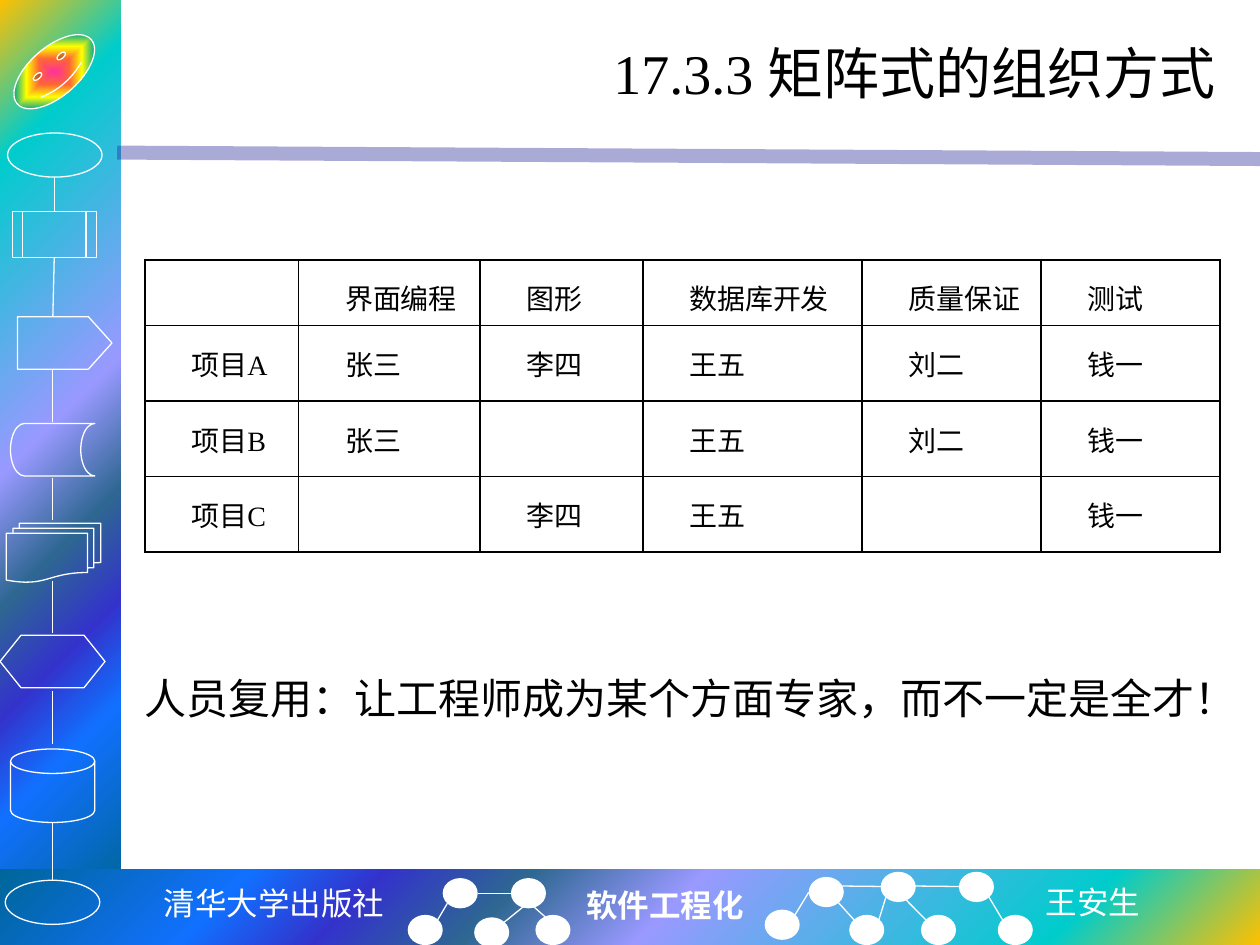
from lxml import etree
from pptx import Presentation
from pptx.dml.color import RGBColor
from pptx.enum.shapes import MSO_CONNECTOR, MSO_SHAPE
from pptx.enum.text import MSO_ANCHOR, MSO_AUTO_SIZE, PP_ALIGN
from pptx.oxml.ns import qn
from pptx.util import Pt

STRAIGHT = MSO_CONNECTOR.STRAIGHT
RECTANGLE, OVAL = MSO_SHAPE.RECTANGLE, MSO_SHAPE.OVAL
LEFT, CENTER, RIGHT, JUSTIFY = PP_ALIGN.LEFT, PP_ALIGN.CENTER, PP_ALIGN.RIGHT, PP_ALIGN.JUSTIFY
TOP, MIDDLE = MSO_ANCHOR.TOP, MSO_ANCHOR.MIDDLE
GROW = MSO_AUTO_SIZE.SHAPE_TO_FIT_TEXT

WHITE = RGBColor(0xFF, 0xFF, 0xFF)
BLACK = RGBColor(0, 0, 0)
RULE = RGBColor(0x26, 0x26, 0x99)
SPECTRUM = [(0, RGBColor(0xFF, 0xC0, 0x00)), (16, RGBColor(0x00, 0xCC, 0xCC)),
            (47, RGBColor(0x99, 0x99, 0xFF)), (60, RGBColor(0x2E, 0x67, 0x92)),
            (71, RGBColor(0x33, 0x33, 0xCC)), (81, RGBColor(0x11, 0x70, 0xFF)),
            (100, RGBColor(0x00, 0x66, 0x99))]
RAINBOW = [(0, RGBColor(0xFF, 0x33, 0x99)), (25, RGBColor(0xFF, 0x66, 0x33)),
           (50, RGBColor(0xFF, 0xFF, 0x00)), (75, RGBColor(0x01, 0xA7, 0x8F)),
           (100, RGBColor(0x33, 0x66, 0xFF))]
SERIF, MONO, SANS = "Times New Roman", "Courier New", "Noto Sans CJK SC"

# Flowchart symbols: preset, left, top, width, height
SYMBOLS = [
    (OVAL, 4.3, 76, 54, 25.2),
    (MSO_SHAPE.FLOWCHART_PREDEFINED_PROCESS, 7, 121, 48.2, 26),
    (MSO_SHAPE.PENTAGON, 10, 181, 54, 30),
    (MSO_SHAPE.FLOWCHART_STORED_DATA, 6, 242, 48.2, 30),
    (MSO_SHAPE.FLOWCHART_MULTIDOCUMENT, 3.6, 299, 54, 33.8),
    (MSO_SHAPE.FLOWCHART_PREPARATION, 0, 363, 60, 30),
    (MSO_SHAPE.FLOWCHART_MAGNETIC_DISK, 6, 428, 48.2, 42),
    (OVAL, 3, 503, 54, 25.2),
]
FLOW_LINES = [(31, 101, 31, 121), (31, 147.5, 30.2, 181), (30, 211, 30, 241),
              (30, 273, 30, 297), (30, 332, 30, 362), (30, 395, 30, 425),
              (30, 470, 30, 503)]

# Footer nodes (left, top) and links (x1, y1, x2, y2), relative to the footer
NODE_SIZE = (20, 17.3)
NODES = [(233, 26), (253, 5), (271, 27.4), (292, 5), (306, 26),
         (437, 23), (462.2, 4.3), (485.3, 26), (503.3, 1.4), (526.3, 26),
         (548, 1.4), (570.2, 26)]
LINKS = [(250, 29, 255.6, 19.5), (288, 30.3, 299.5, 21), (292.3, 13.7, 273, 13.7),
         (312.5, 28, 305.3, 21.6), (454.3, 26, 462.2, 13), (488.2, 29, 478.8, 18.7),
         (481, 9.5, 506, 9.8), (502, 29.5, 506.2, 16), (529.2, 29, 514.8, 14.4),
         (522.7, 9.5, 548, 9.8), (573, 29, 565.2, 16)]

ROWS = [["", "界面编程", "图形", "数据库开发", "质量保证", "测试"],
        ["项目A", "张三", "李四", "王五", "刘二", "钱一"],
        ["项目B", "张三", "", "王五", "刘二", "钱一"],
        ["项目C", "", "李四", "王五", "", "钱一"]]
COLUMN_SHARES = [1.22, 1.44, 1.29, 1.74, 1.42, 1.42]
ROW_SHARES = [0.52, 0.6, 0.6, 0.6]
LINE_HEIGHT = 16.6


def set_attributes(target, values):
    for name, value in values.items():
        setattr(target, name, value)


def add_shape(slide, preset, left, top, width, height, fill=None, line=None):
    shape = slide.shapes.add_shape(preset, Pt(left), Pt(top), Pt(width), Pt(height))
    shape.shadow.inherit = False
    if fill is None:
        shape.fill.background()
    else:
        shape.fill.solid()
        shape.fill.fore_color.rgb = fill
    if line is None:
        shape.line.fill.background()
    else:
        set_attributes(shape.line, {"width": Pt(0.75)})
        shape.line.color.rgb = line
    return shape


def add_line(slide, x1, y1, x2, y2, color=WHITE, width=0.75):
    line = slide.shapes.add_connector(STRAIGHT, Pt(x1), Pt(y1), Pt(x2), Pt(y2))
    line.line.width = Pt(width)
    line.line.color.rgb = color
    etree.SubElement(line._element.spPr, qn("a:effectLst"))
    return line


def path_gradient(shape, stops, kind, focus):
    """Fill with a gradient that spreads from focus (left, top, right, bottom, in %)."""
    properties = shape._element.spPr
    old_fill = properties.find(qn("a:solidFill"))
    gradient = etree.Element(qn("a:gradFill"), rotWithShape="1")
    stop_list = etree.SubElement(gradient, qn("a:gsLst"))
    for position, color in stops:
        stop = etree.SubElement(stop_list, qn("a:gs"), pos=str(position * 1000))
        etree.SubElement(stop, qn("a:srgbClr"), val=str(color))
    spread = etree.SubElement(gradient, qn("a:path"), path=kind)
    sides = {side: str(value * 1000) for side, value in zip("ltrb", focus)}
    etree.SubElement(spread, qn("a:fillToRect"), sides)
    properties.replace(old_fill, gradient)


def add_text(slide, box, text, size, font, color, align=LEFT, anchor=TOP, wrap=False, bold=False):
    shape = slide.shapes.add_textbox(*map(Pt, box))
    frame = shape.text_frame
    set_attributes(frame, {"word_wrap": wrap, "vertical_anchor": anchor})
    if not wrap:
        frame.auto_size = GROW
    paragraph = frame.paragraphs[0]
    paragraph.alignment = align
    run = paragraph.add_run()
    run.text = text
    set_attributes(run.font, {"size": Pt(size), "name": font, "bold": bold})
    run.font.color.rgb = color


def add_band(slide, box, focus):
    path_gradient(add_shape(slide, RECTANGLE, *box, fill=WHITE), SPECTRUM, "circle", focus)


def add_flowchart(slide, left, top):
    face = add_shape(slide, MSO_SHAPE.SMILEY_FACE, left + 3, top + 27, 56, 28, WHITE, WHITE)
    face.rotation = -41
    path_gradient(face, RAINBOW, "rect", (50, 50, 50, 50))
    for preset, x, y, width, height in SYMBOLS:
        symbol = add_shape(slide, preset, left + x, top + y, width, height, line=WHITE)
        if preset == MSO_SHAPE.PENTAGON:
            symbol.adjustments[0] = 0.45
    for x1, y1, x2, y2 in FLOW_LINES:
        add_line(slide, left + x1, top + y1, left + x2, top + y2)


def add_footer_content(slide, left, top):
    for x, y in NODES:
        add_shape(slide, OVAL, left + x, top + y, *NODE_SIZE, fill=WHITE)
    for x1, y1, x2, y2 in LINKS:
        add_line(slide, left + x1, top + y1, left + x2, top + y2)
    add_text(slide, (left + 85.7, top + 5, 142, 29), "清华大学出版社", 18, MONO, WHITE, CENTER)
    add_text(slide, (left + 328, top + 5.8, 105, 29), "软件工程化", 18, SERIF, WHITE, bold=True)
    add_text(slide, (left + 590.4, top + 4.3, 69, 29), "王安生", 18, SANS, WHITE)


def add_header(slide, left, top, width):
    rule = add_line(slide, left - 23, top + 75, left + width + 18, top + 78.7, RULE, 8)
    color = rule.line._ln.find(".//" + qn("a:srgbClr"))
    etree.SubElement(color, qn("a:alpha"), val="39000")
    add_text(slide, (left, top, width, 58), "17.3.3 矩阵式的组织方式", 32, SERIF, BLACK,
             RIGHT, MIDDLE, wrap=True)


def border_cell(cell):
    properties = cell._tc.get_or_add_tcPr()
    for index, side in enumerate(("lnL", "lnR", "lnT", "lnB")):
        border = etree.Element(qn("a:" + side), w=str(Pt(1)))
        fill = etree.SubElement(border, qn("a:solidFill"))
        etree.SubElement(fill, qn("a:srgbClr"), val=str(BLACK))
        properties.insert(index, border)


def fill_cell(cell, text):
    cell.fill.background()
    border_cell(cell)
    set_attributes(cell, {"margin_left": Pt(5), "margin_right": Pt(5), "margin_bottom": 0,
                          "margin_top": Pt(LINE_HEIGHT) if text else 0})
    if not text:
        return
    paragraph = cell.text_frame.paragraphs[0]
    set_attributes(paragraph, {"alignment": JUSTIFY, "line_spacing": Pt(LINE_HEIGHT)})
    paragraph._p.get_or_add_pPr().set("indent", str(Pt(21.6)))
    run = paragraph.add_run()
    run.text = text
    set_attributes(run.font, {"size": Pt(16), "name": SERIF})
    run.font.color.rgb = BLACK


def add_staff_table(slide, left, top, width, height):
    frame = slide.shapes.add_table(len(ROWS), len(ROWS[0]), Pt(left), Pt(top), Pt(width), Pt(height))
    table = frame.table
    set_attributes(table, {"first_row": False, "horz_banding": False})
    for column, share in zip(table.columns, COLUMN_SHARES):
        column.width = Pt(width * share / sum(COLUMN_SHARES))
    for row, share, texts in zip(table.rows, ROW_SHARES, ROWS):
        row.height = Pt(height * share / sum(ROW_SHARES))
        for cell, text in zip(row.cells, texts):
            fill_cell(cell, text)


def main():
    presentation = Presentation()
    set_attributes(presentation, {"slide_width": Pt(720), "slide_height": Pt(540)})
    slide = presentation.slides.add_slide(presentation.slide_layouts[6])
    add_band(slide, (0, 0, 69, 510.5), (0, 0, 100, 100))
    add_band(slide, (0, 496.8, 720, 43.2), (100, 100, 0, 0))
    add_flowchart(slide, 0, 0)
    add_footer_content(slide, 0, 496.8)
    add_header(slide, 90, 12.2, 612)
    add_staff_table(slide, 82.8, 148.5, 614.5, 167)
    add_text(slide, (75.6, 381, 644.4, 36), "人员复用：让工程师成为某个方面专家，而不一定是全才！",
             24, SERIF, BLACK)
    presentation.save("out.pptx")


if __name__ == "__main__":
    main()
